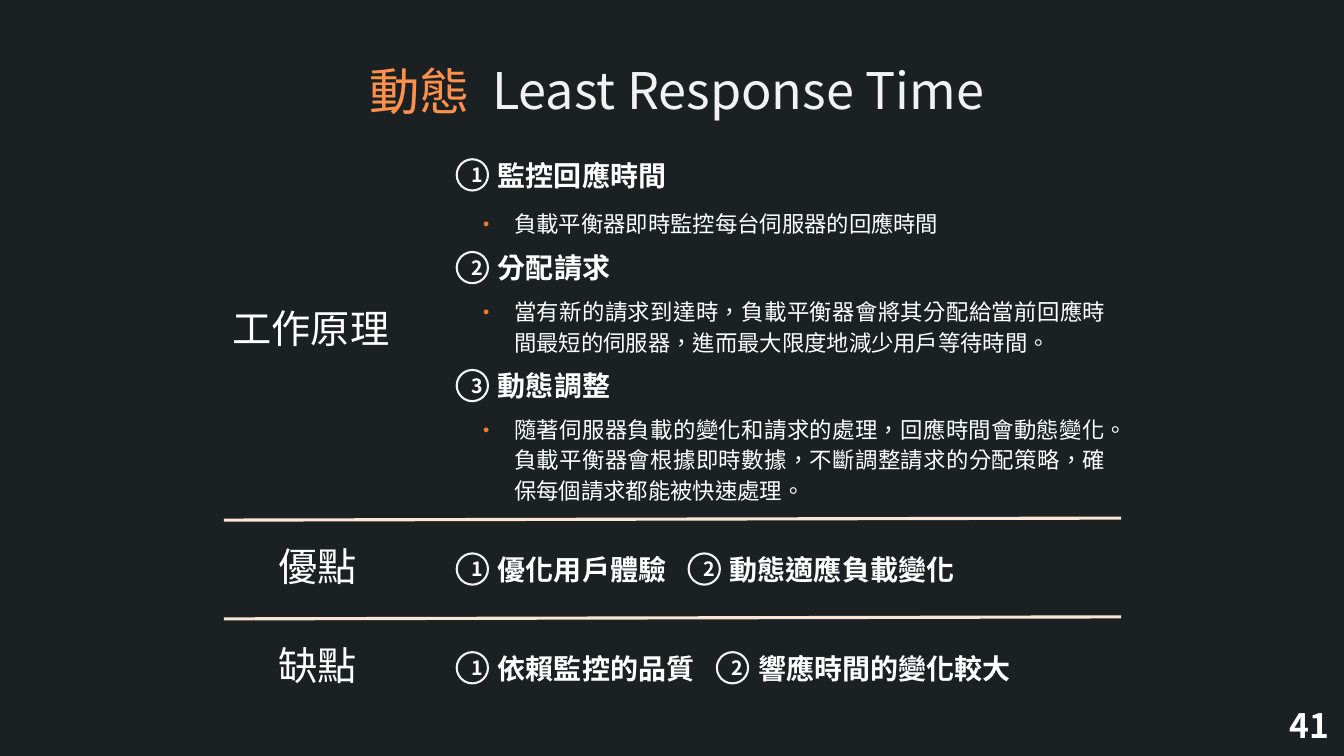
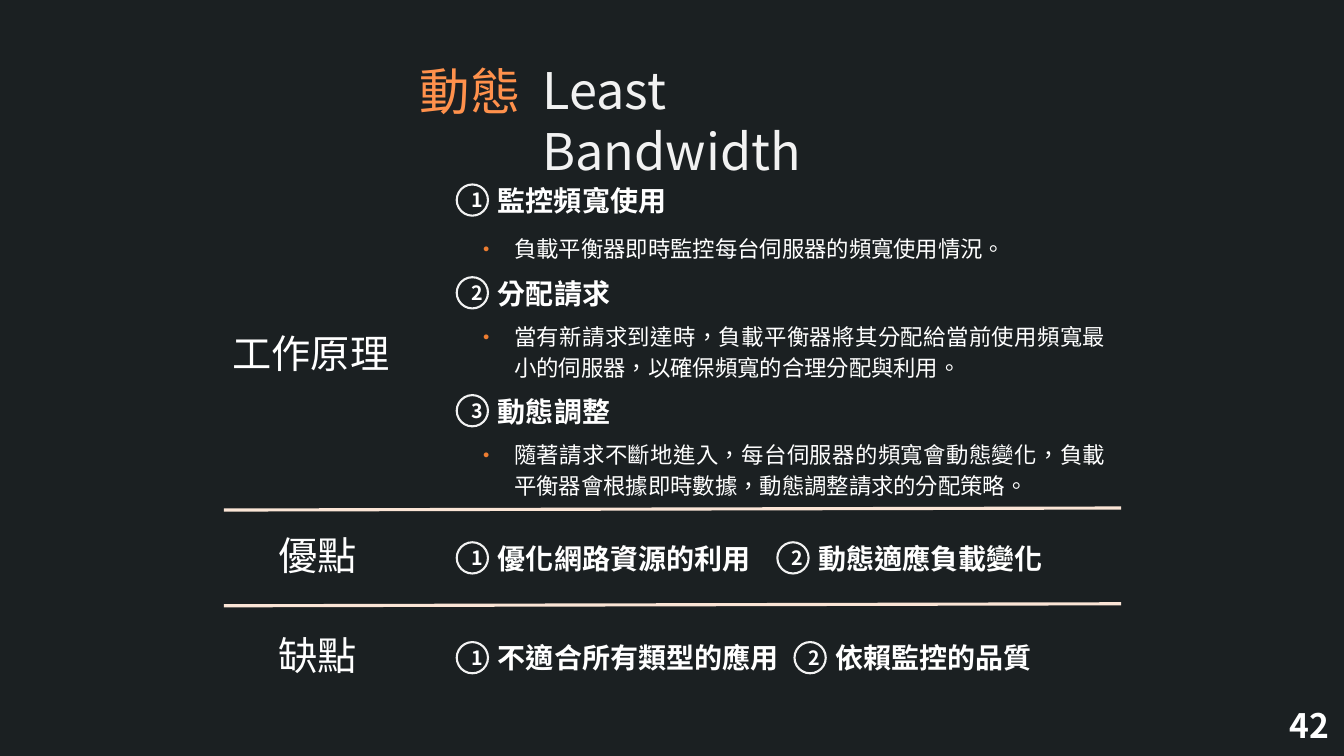
import dataclasses

import lxml.etree
import pptx
import pptx.dml.color
import pptx.enum.shapes
import pptx.enum.text
import pptx.oxml.ns
import pptx.util

Inches = pptx.util.Inches
ALIGN = pptx.enum.text.PP_ALIGN
ANCHOR = pptx.enum.text.MSO_ANCHOR


@dataclasses.dataclass(frozen=True)
class Theme:
    font: str = "Noto Sans CJK SC"
    language: str = "zh-TW"
    background: str = "1B2022"
    white: str = "FFFFFF"
    soft_white: str = "F2F2F2"
    accent: str = "FF914C"
    bullet: str = "ED7D31"
    rule: str = "FBE5D6"
    title_size: int = 36
    label_size: int = 28
    page_size: int = 24
    heading_size: int = 20
    detail_size: int = 16
    number_size: int = 14


THEME = Theme()
MARKER = 0.31
LABEL_X, POINT_X, RULE_END = 2.21, 4.53, 11.12

# Content: each step has a heading, a detail and the detail's line count
PAGES = [
    dict(
        number="41", title="Least Response Time", title_left=4.78, title_width=5.3,
        steps_top=1.52,
        steps=[
            ("監控回應時間", "負載平衡器即時監控每台伺服器的回應時間", 1),
            ("分配請求", "當有新的請求到達時，負載平衡器會將其分配給當前回應時間最短的伺服器，"
                     "進而最大限度地減少用戶等待時間。", 2),
            ("動態調整", "隨著伺服器負載的變化和請求的處理，回應時間會動態變化。"
                     "負載平衡器會根據即時數據，不斷調整請求的分配策略，確保每個請求都能被快速處理。", 3),
        ],
        rows=[
            ("優點", 5.33, 5.16, [(4.53, "優化用戶體驗"), (6.83, "動態適應負載變化")]),
            ("缺點", 6.31, 6.14, [(4.53, "依賴監控的品質"), (7.11, "響應時間的變化較大")]),
        ],
    ),
    dict(
        number="42", title="Least Bandwidth", title_left=5.28, title_width=4.08,
        steps_top=1.77,
        steps=[
            ("監控頻寬使用", "負載平衡器即時監控每台伺服器的頻寬使用情況。", 1),
            ("分配請求", "當有新請求到達時，負載平衡器將其分配給當前使用頻寬最小的伺服器，"
                     "以確保頻寬的合理分配與利用。", 2),
            ("動態調整", "隨著請求不斷地進入，每台伺服器的頻寬會動態變化，"
                     "負載平衡器會根據即時數據，動態調整請求的分配策略。", 2),
        ],
        rows=[
            ("優點", 5.22, 5.06, [(4.53, "優化網路資源的利用"), (7.71, "動態適應負載變化")]),
            ("缺點", 6.21, 6.01, [(4.53, "不適合所有類型的應用"), (7.88, "依賴監控的品質")]),
        ],
    ),
]


def rgb(color):
    return pptx.dml.color.RGBColor.from_string(color)


def add_xml(parent, tag, **attributes):
    child = lxml.etree.SubElement(parent, pptx.oxml.ns.qn(tag))
    for name, value in attributes.items():
        child.set(name, value)
    return child


def add_bullet(paragraph):
    properties = paragraph._p.get_or_add_pPr()
    properties.set("marL", str(Inches(0.31)))
    properties.set("indent", str(Inches(-0.31)))
    add_xml(add_xml(properties, "a:buClr"), "a:srgbClr", val=THEME.bullet)
    add_xml(properties, "a:buSzPct", val="50000")
    add_xml(properties, "a:buFont", typeface="Arial")
    add_xml(properties, "a:buChar", char="●")


def write(holder, text, size, color=THEME.white, bold=False, align=ALIGN.LEFT,
          anchor=ANCHOR.TOP, bulleted=False):
    frame = holder.text_frame
    frame.word_wrap = True
    frame.auto_size = pptx.enum.text.MSO_AUTO_SIZE.NONE
    frame.vertical_anchor = anchor
    frame.text = text
    paragraph = frame.paragraphs[0]
    if bulleted:
        add_bullet(paragraph)
        paragraph.line_spacing = 1.14
    paragraph.space_before = pptx.util.Pt(0)
    paragraph.alignment = align
    font = paragraph.font
    font.name, font.size, font.bold = THEME.font, pptx.util.Pt(size), bold
    font.color.rgb = rgb(color)
    # East Asian font and language, for the Chinese glyph forms
    defaults = paragraph._p.pPr.find(pptx.oxml.ns.qn("a:defRPr"))
    defaults.set("lang", THEME.language)
    add_xml(defaults, "a:ea", typeface=THEME.font)


def place(holder, left, top, width, height):
    holder.left, holder.top = Inches(left), Inches(top)
    holder.width, holder.height = Inches(width), Inches(height)


def add_text(slide, left, top, width, height, text, size, **style):
    box = slide.shapes.add_textbox(Inches(left), Inches(top), Inches(width), Inches(height))
    write(box, text, size, **style)


def add_point(slide, left, top, number, text):
    """A circled number with a bold heading to its right."""
    width = len(text) * THEME.heading_size / 72 + 0.25
    add_text(slide, left + MARKER, top, width, 0.44, text, THEME.heading_size,
             bold=True, align=ALIGN.JUSTIFY)
    circle = slide.shapes.add_shape(
        pptx.enum.shapes.MSO_SHAPE.FLOWCHART_CONNECTOR,
        Inches(left), Inches(top + 0.06), Inches(MARKER), Inches(MARKER))
    circle.shadow.inherit = False
    circle.fill.background()
    circle.line.color.rgb = rgb(THEME.soft_white)
    circle.line.width = pptx.util.Pt(1.5)
    write(circle, str(number), THEME.number_size, bold=True,
          align=ALIGN.CENTER, anchor=ANCHOR.MIDDLE)


def add_rule(slide, top):
    rule = slide.shapes.add_connector(
        pptx.enum.shapes.MSO_CONNECTOR.STRAIGHT,
        Inches(LABEL_X + 0.01), Inches(top), Inches(RULE_END), Inches(top - 0.02))
    rule.line.color.rgb = rgb(THEME.rule)
    rule.line.width = pptx.util.Pt(2.25)
    add_xml(rule._element.spPr, "a:effectLst")


def add_title(slide, left, width, title):
    place(slide.shapes.title, left, 0.54, width, 0.71)
    write(slide.shapes.title, title, THEME.title_size, color=THEME.soft_white)
    add_text(slide, left - 1.31, 0.55, 1.39, 0.71, "動態", THEME.title_size,
             color=THEME.accent, align=ALIGN.CENTER)


def add_steps(slide, top, steps):
    add_text(slide, LABEL_X, top + 1.45, 2.1, 0.57, "工作原理", THEME.label_size)
    bodies = [holder for holder in slide.placeholders if holder.placeholder_format.idx > 0]
    step_offsets = [(0, 0.48), (0.92, 1.35), (2.09, 2.52)]
    for index, (heading, detail, lines) in enumerate(steps):
        heading_offset, detail_offset = step_offsets[index]
        add_point(slide, POINT_X, top + heading_offset, index + 1, heading)
        place(bodies[index], POINT_X + 0.16, top + detail_offset, 6.38, 0.07 + 0.31 * lines)
        write(bodies[index], detail, THEME.detail_size, align=ALIGN.JUSTIFY, bulleted=True)
    for unused in bodies[len(steps):]:
        unused._element.getparent().remove(unused._element)


def add_row(slide, label, top, rule_top, points):
    add_rule(slide, rule_top)
    add_text(slide, LABEL_X + 0.45, top, 1.33, 0.57, label, THEME.label_size)
    for number, (left, text) in enumerate(points, 1):
        add_point(slide, left, top + 0.1, number, text)


def add_method_slide(deck, page):
    # The comparison layout supplies a title and enough body placeholders
    slide = deck.slides.add_slide(deck.slide_layouts[4])
    add_title(slide, page["title_left"], page["title_width"], page["title"])
    add_steps(slide, page["steps_top"], page["steps"])
    for row in page["rows"]:
        add_row(slide, *row)
    # Page number
    add_text(slide, 12.69, 6.94, 0.6, 0.5, page["number"], THEME.page_size, bold=True)


def main():
    deck = pptx.Presentation()
    deck.slide_width, deck.slide_height = Inches(13.33), Inches(7.5)
    backdrop = deck.slide_master.background.fill
    backdrop.solid()
    backdrop.fore_color.rgb = rgb(THEME.background)
    for page in PAGES:
        add_method_slide(deck, page)
    deck.save("out.pptx")


if __name__ == "__main__":
    main()
